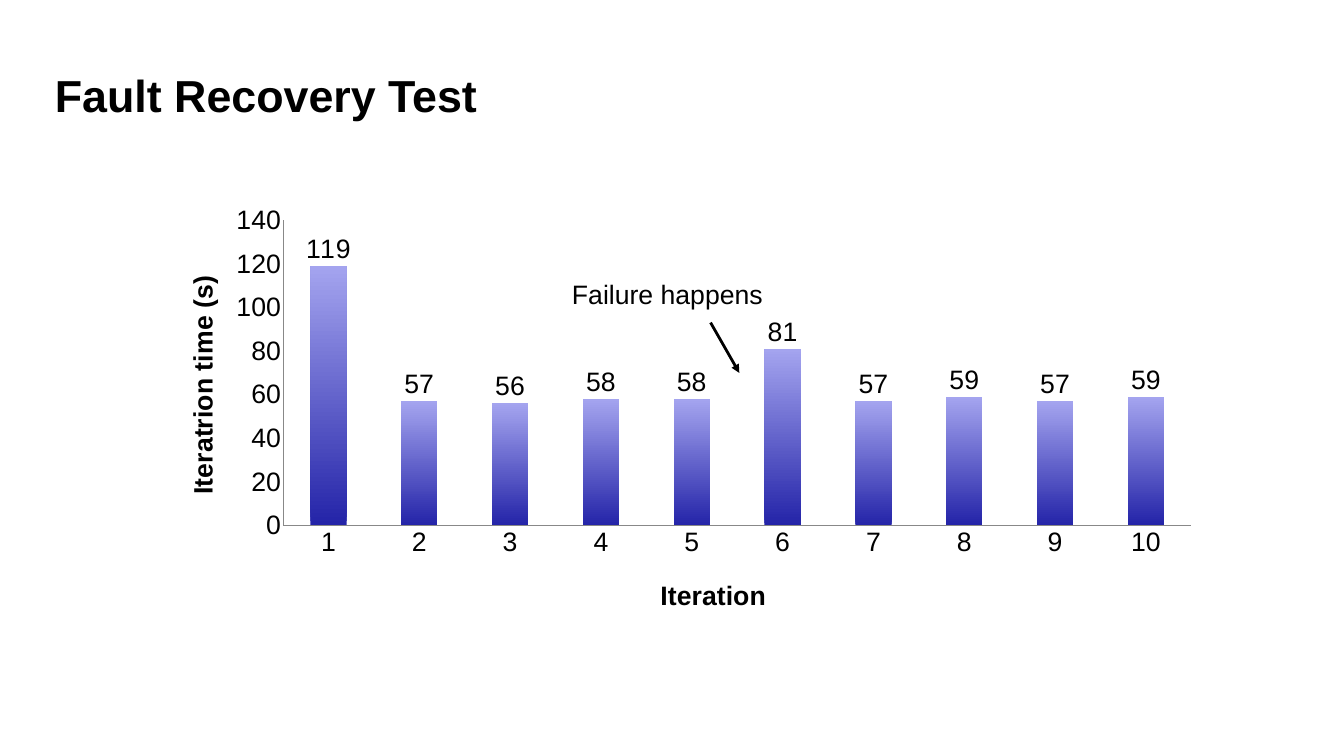
from lxml import etree
from pptx import Presentation
from pptx.chart.data import CategoryChartData
from pptx.dml.color import RGBColor
from pptx.enum.chart import XL_CHART_TYPE, XL_LABEL_POSITION, XL_TICK_MARK
from pptx.enum.shapes import MSO_CONNECTOR
from pptx.enum.text import MSO_ANCHOR
from pptx.oxml.ns import qn
from pptx.util import Inches, Pt

COLUMNS = XL_CHART_TYPE.COLUMN_CLUSTERED
OUTSIDE_END = XL_LABEL_POSITION.OUTSIDE_END
NO_TICK = XL_TICK_MARK.NONE
STRAIGHT = MSO_CONNECTOR.STRAIGHT
TOP, MIDDLE = MSO_ANCHOR.TOP, MSO_ANCHOR.MIDDLE

SLIDE_WIDTH, SLIDE_HEIGHT = 26.67, 15
FONT = "Arial"
BODY_SIZE = 38
COLORS = {"ink": "000000", "axis": "888888", "bar_base": "2424A8", "bar_top": "A4A4EF"}
ITERATION_SECONDS = (119, 57, 56, 58, 58, 81, 57, 59, 57, 59)


def color(name):
    """Return the named palette colour."""
    return RGBColor.from_string(COLORS[name])


def place(*shares):
    """Turn alternating x and y percentages of the slide into lengths."""
    sides = (SLIDE_WIDTH, SLIDE_HEIGHT)
    return [Inches(sides[i % 2] * share / 100) for i, share in enumerate(shares)]


def style_font(font, size=BODY_SIZE, bold=False):
    """Apply the slide's typeface and ink."""
    font.name, font.size, font.bold = FONT, Pt(size), bold
    font.color.rgb = color("ink")


def add_text(slide, text, box, size=BODY_SIZE, bold=False, anchor=TOP, wrap=True, insets=(0.06, 0.06)):
    """Add a line of text in a box given in slide percentages."""
    frame = slide.shapes.add_textbox(*place(*box)).text_frame
    frame.word_wrap = wrap
    frame.vertical_anchor = anchor
    frame.margin_left = frame.margin_right = Inches(insets[0])
    frame.margin_top = frame.margin_bottom = Inches(insets[1])
    run = frame.paragraphs[0].add_run()
    run.text = text
    style_font(run.font, size, bold)


def set_layout(parent, index, target=None, **shares):
    """Fix a chart part's position in percentages of the chart."""
    for old in parent.findall(qn("c:layout")):
        parent.remove(old)
    layout = etree.Element(qn("c:layout"))
    manual = etree.SubElement(layout, qn("c:manualLayout"))
    settings = {"layoutTarget": target} if target else {}
    settings.update(xMode="edge", yMode="edge")
    settings.update({key: str(round(share / 100, 3)) for key, share in shares.items()})
    for key, value in settings.items():
        etree.SubElement(manual, qn(f"c:{key}")).set("val", value)
    parent.insert(index, layout)


def style_axis(axis, title, x, y):
    """Format an axis and position its title."""
    axis.has_major_gridlines = False
    axis.major_tick_mark = axis.minor_tick_mark = NO_TICK
    axis.format.line.color.rgb = color("axis")
    axis.format.line.width = Pt(0.75)
    style_font(axis.tick_labels.font)
    axis_title = axis.axis_title
    paragraph = axis_title.text_frame.paragraphs[0]
    run = paragraph.add_run()
    run.text = title
    style_font(run.font, bold=True)
    set_layout(axis_title._element, 1, x=x, y=y)


def style_bars(plot):
    """Give the bars their gradient and value labels."""
    plot.gap_width = 150
    plot.vary_by_categories = False
    fill = plot.series[0].format.fill
    fill.gradient()
    fill.gradient_angle = 90
    for stop, name, position in zip(fill.gradient_stops, ("bar_base", "bar_top"), (0, 1)):
        stop.color.rgb = color(name)
        stop.position = position
    labels = plot.series[0].data_labels
    labels.show_value = True
    labels.number_format, labels.number_format_is_linked = "#,##0", False
    labels.position = OUTSIDE_END
    style_font(labels.font)


def add_time_chart(slide, box):
    """Add the chart of seconds per iteration."""
    times = CategoryChartData()
    times.categories = [str(i + 1) for i in range(len(ITERATION_SECONDS))]
    times.add_series("Series 1", ITERATION_SECONDS)
    chart = slide.shapes.add_chart(COLUMNS, *place(*box), times).chart
    chart.has_legend = chart.has_title = False
    style_font(chart.font)
    style_bars(chart.plots[0])
    style_axis(chart.category_axis, "Iteration", x=50.2, y=81.8)
    style_axis(chart.value_axis, "Iteratrion time (s)", x=9.4, y=21.4)
    chart.value_axis.minimum_scale, chart.value_axis.maximum_scale = 0, 140
    chart.value_axis.major_unit = 20
    plot_area = chart._chartSpace.chart.plotArea
    set_layout(plot_area, 0, target="inner", x=18.2, y=11.3, w=78, h=60.9)


def add_arrow(slide, ends, width=4):
    """Draw a straight arrow between two points in slide percentages."""
    arrow = slide.shapes.add_connector(STRAIGHT, *place(*ends))
    arrow.line.color.rgb = color("ink")
    arrow.line.width = Pt(width)
    properties = arrow._element.spPr
    etree.SubElement(properties.find(qn("a:ln")), qn("a:tailEnd")).set("type", "triangle")
    etree.SubElement(properties, qn("a:effectLst"))


def main():
    """Build and save the slide."""
    deck = Presentation()
    deck.slide_width, deck.slide_height = Inches(SLIDE_WIDTH), Inches(SLIDE_HEIGHT)
    slide = deck.slides.add_slide(deck.slide_layouts[6])
    add_text(slide, "Fault Recovery Test", (3.86, 6.73, 91.83, 11.6), size=64, bold=True, anchor=MIDDLE)
    add_time_chart(slide, (5.29, 21.67, 86.65, 66.27))
    add_arrow(slide, (52.87, 42.67, 55.01, 49.33))
    add_text(slide, "Failure happens", (41.66, 36, 16.12, 5.87), wrap=False, insets=(0.24, 0.12))
    deck.save("out.pptx")


if __name__ == "__main__":
    main()
